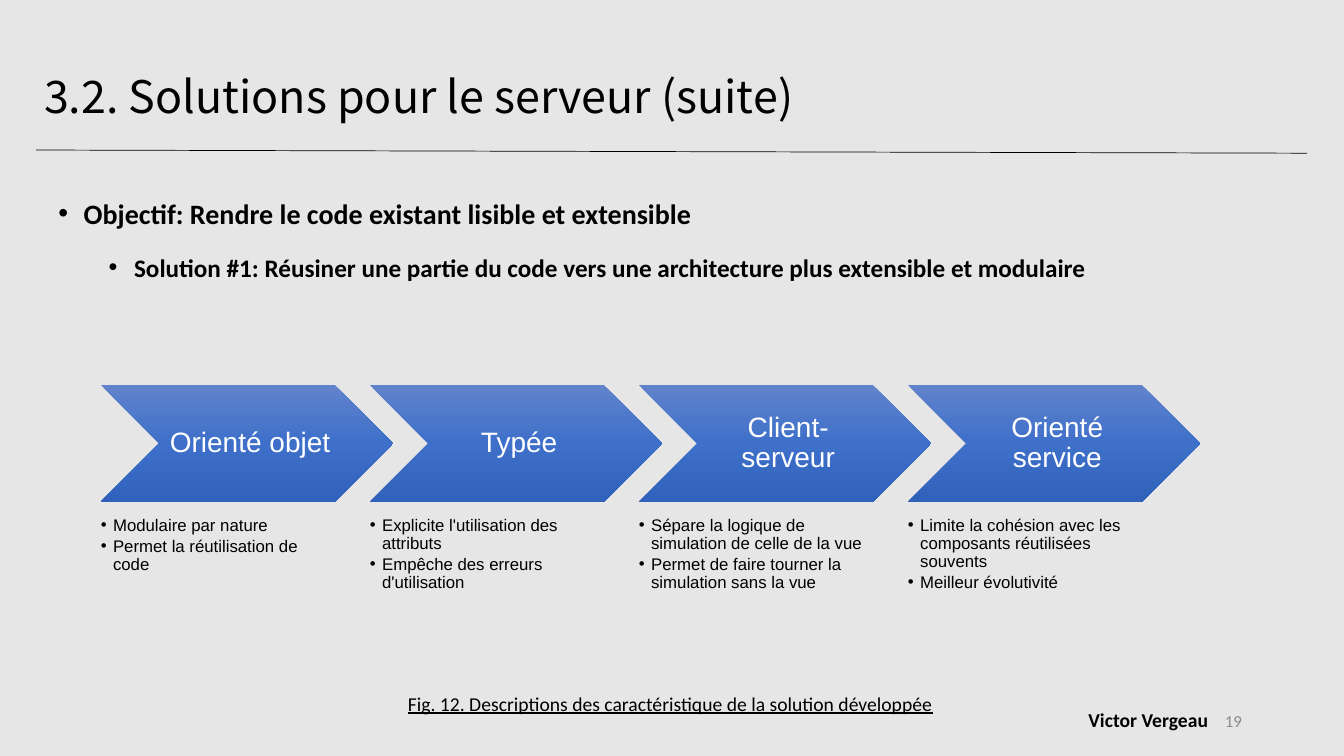
from copy import deepcopy

from lxml import etree
from pptx import Presentation
from pptx import util as u
from pptx.dml.color import RGBColor
from pptx.enum import shapes, text
from pptx.oxml.ns import qn

Cm, Pt = u.Cm, u.Pt
BLACK = RGBColor(0, 0, 0)
WHITE = RGBColor(0xFF, 0xFF, 0xFF)
GREY = RGBColor(0x8C, 0x8C, 0x8C)
PAPER = RGBColor(0xE7, 0xE6, 0xE6)
BLUES = [(0, RGBColor(0x61, 0x83, 0xCB)),
         (0.5, RGBColor(0x3E, 0x70, 0xCA)),
         (1, RGBColor(0x30, 0x62, 0xBB))]
MID, TOP = text.MSO_ANCHOR.MIDDLE, text.MSO_ANCHOR.TOP
LEFT, CENTER, RIGHT = (text.PP_ALIGN.LEFT, text.PP_ALIGN.CENTER,
                       text.PP_ALIGN.RIGHT)
PAD = (0.25, 0.13, 0.25, 0.13)

STEPS = [
    ("Orienté objet", ["Modulaire par nature",
                       "Permet la réutilisation de code"]),
    ("Typée", ["Explicite l'utilisation des attributs",
               "Empêche des erreurs d'utilisation"]),
    ("Client-serveur", ["Sépare la logique de simulation de celle de la vue",
                        "Permet de faire tourner la simulation sans la vue"]),
    ("Orienté service", ["Limite la cohésion avec les composants réutilisées "
                         "souvents", "Meilleur évolutivité"]),
]


def apply(item, values):
    for key, value in values.items():
        setattr(item, key, value)


def frame(shape, pad=PAD, anchor=TOP, wrap=True):
    sides = ("left", "top", "right", "bottom")
    values = {"margin_" + side: Cm(gap) for side, gap in zip(sides, pad)}
    values.update(word_wrap=wrap, vertical_anchor=anchor,
                  auto_size=text.MSO_AUTO_SIZE.NONE)
    apply(shape.text_frame, values)
    return shape.text_frame


def write(para, words, font, color=BLACK, **layout):
    run = para.add_run()
    run.text = words
    apply(run.font, font)
    run.font.color.rgb = color
    apply(para, layout)


def bullet(para, left, hang):
    props = para._p.get_or_add_pPr()
    props.set("marL", str(Cm(left)))
    props.set("indent", str(-Cm(hang)))
    etree.SubElement(props, qn("a:buFont")).set("typeface", "Arial")
    etree.SubElement(props, qn("a:buChar")).set("char", "•")


def label(parent, box, words, font, color=BLACK, pad=PAD, anchor=TOP,
          wrap=True, **layout):
    shape = parent.add_textbox(*map(Cm, box))
    body = frame(shape, pad, anchor, wrap)
    write(body.paragraphs[0], words, font, color, **layout)


def points(parent, box, rows, pad=PAD):
    """Each row holds words, font, left indent, hang and paragraph layout."""
    body = frame(parent.add_textbox(*map(Cm, box)), pad)
    for i, (words, font, left, hang, layout) in enumerate(rows):
        para = body.add_paragraph() if i else body.paragraphs[0]
        write(para, words, font, **layout)
        bullet(para, left, hang)


def chevron(parent, box):
    shape = parent.add_shape(shapes.MSO_SHAPE.CHEVRON, *map(Cm, box))
    shape.shadow.inherit = False
    shape.line.fill.background()
    fill = shape.fill
    fill.gradient()
    fill.gradient_angle = 270
    # Add the middle stop
    stops = shape._element.spPr.find(".//" + qn("a:gsLst"))
    stops.insert(1, deepcopy(stops[0]))
    for stop, (place, color) in zip(fill.gradient_stops, BLUES):
        stop.position = place
        stop.color.rgb = color


def step(parent, x, name, notes):
    chevron(parent, (x, 9.7, 7.37, 2.95))
    label(parent, (x + 1.48, 9.7, 4.42, 2.95), name,
          {"name": "Arial", "size": Pt(20)}, WHITE,
          (0.23, 0.08, 0.08, 0.08), MID, alignment=CENTER,
          line_spacing=0.9)
    font = {"name": "Arial", "size": Pt(12)}
    layout = {"line_spacing": 0.9, "space_after": Pt(1.8), "level": 1}
    points(parent, (x, 13.03, 5.89, 3.25),
           [(note, font, 0.31, 0.31, layout) for note in notes],
           (0, 0, 0, 0))


def rule(parent, ends):
    line = parent.add_connector(shapes.MSO_CONNECTOR.STRAIGHT, *map(Cm, ends))
    line.line.color.rgb = BLACK
    line.line.width = Pt(0.5)
    etree.SubElement(line._element.spPr, qn("a:effectLst"))


def head(shape, box, words):
    apply(shape, dict(zip(("left", "top", "width", "height"), map(Cm, box))))
    body = frame(shape, anchor=MID)
    write(body.paragraphs[0], words,
          {"name": "Noto Sans CJK KR", "size": Pt(32)},
          alignment=LEFT, line_spacing=0.9)


def main():
    deck = Presentation()
    apply(deck, {"slide_width": Cm(33.87), "slide_height": Cm(19.05)})
    slide = deck.slides.add_slide(deck.slide_layouts[5])
    slide.background.fill.solid()
    slide.background.fill.fore_color.rgb = PAPER
    page = slide.shapes

    # Title and rule
    head(page.title, (0.86, 0.99, 30.68, 3.02),
         "3.2. Solutions pour le serveur (suite)")
    rule(page, (0.91, 3.78, 32.94, 3.86))

    # Goal and solution
    bold = {"name": "Calibri", "bold": True}
    points(page, (1.22, 4.39, 29.51, 10.26), [
        ("Objectif: Rendre le code existant lisible et extensible",
         {**bold, "size": Pt(20)}, 0.64, 0.64,
         {"line_spacing": 1.5, "space_before": Pt(10)}),
        ("Solution #1: Réusiner une partie du code vers une architecture "
         "plus extensible et modulaire",
         {**bold, "size": Pt(18)}, 1.91, 0.64,
         {"line_spacing": 1.5, "space_before": Pt(5), "level": 1}),
    ])

    # Chain of chevrons
    chain = page.add_group_shape().shapes
    for i, (name, notes) in enumerate(STEPS):
        step(chain, 2.54 + 6.78 * i, name, notes)

    # Caption and footer
    label(page, (10.03, 17.3, 14.48, 0.86),
          "Fig. 12. Descriptions des caractéristique de la solution développée",
          {"name": "Calibri", "size": Pt(14), "underline": True})
    label(page, (27.18, 17.7, 3.56, 0.86), "Victor Vergeau",
          {**bold, "size": Pt(14)}, wrap=False)
    label(page, (23.93, 17.65, 7.62, 1.02), "19",
          {"name": "Calibri", "size": Pt(12)}, GREY, anchor=MID,
          alignment=RIGHT)

    deck.save("out.pptx")


if __name__ == "__main__":
    main()
